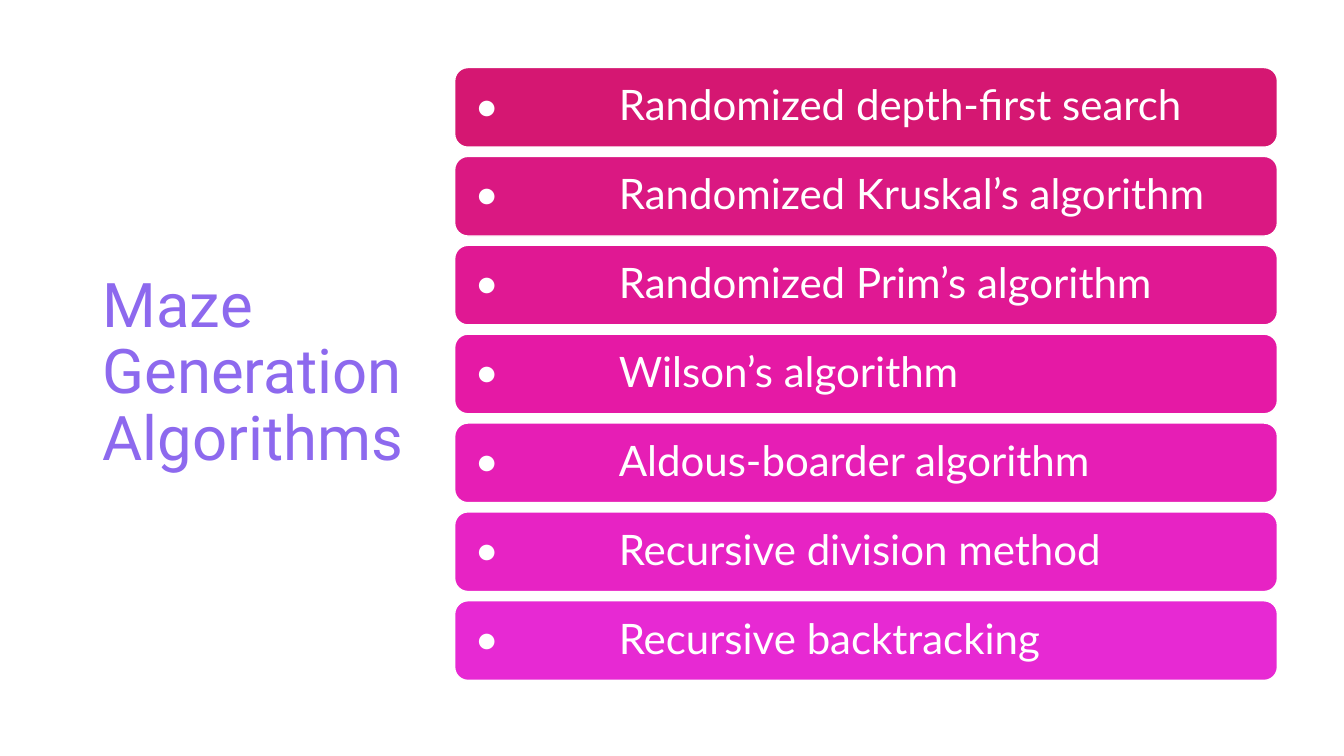
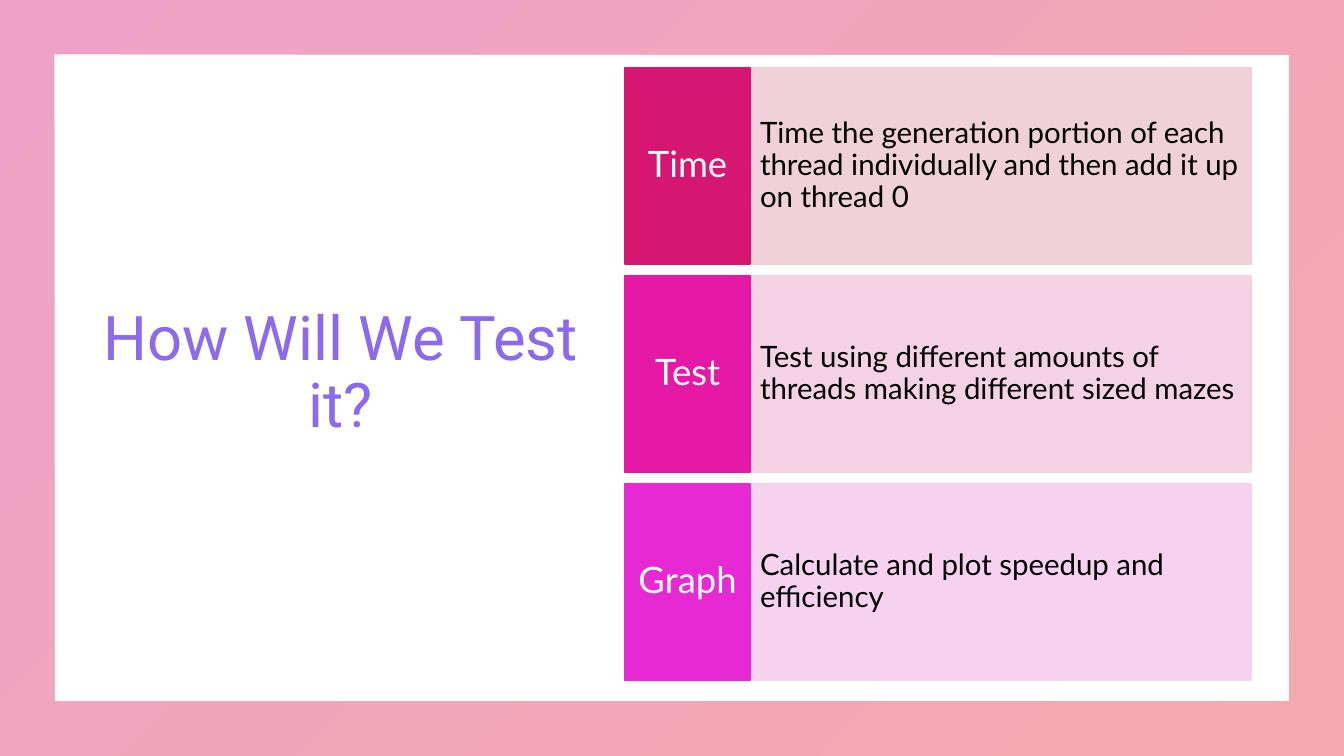
from dataclasses import dataclass

from lxml.etree import SubElement
from pptx import Presentation
from pptx.dml.color import RGBColor
from pptx.enum.shapes import MSO_SHAPE
from pptx.enum.text import MSO_ANCHOR, PP_ALIGN
from pptx.oxml.ns import qn
from pptx.util import Inches, Pt


@dataclass(frozen=True)
class Theme:
    title_color: str = "8D69EE"
    light: str = "FFFFFF"
    dark: str = "000000"
    ramp: tuple = ("D51772", "DA1882", "E01893", "E519A5",
                   "E61EB5", "E723C4", "E729D3")
    tints: tuple = ("F1D1D9", "F4D2E4", "F7D2F0")
    frame_colors: tuple = ("EEA2C7", "F5A9AE")
    title_font: str = "Roboto"
    body_font: str = "Lato"
    title_size: int = 44
    bar_size: int = 30
    label_size: int = 26
    detail_size: int = 21


THEME = Theme()
WIDTH, HEIGHT = 13.33, 7.5
TOP, CONTENT_HEIGHT = 0.67, 6.08


def row_tops(count, row_height):
    """Spread rows evenly over the content height."""
    pitch = (CONTENT_HEIGHT - row_height) / (count - 1)
    return [TOP + i * pitch for i in range(count)]


class Deck:
    def __init__(self, theme):
        self.theme = theme
        self.prs = Presentation()
        self.prs.slide_width = Inches(WIDTH)
        self.prs.slide_height = Inches(HEIGHT)
        self.slide = None

    def new_slide(self):
        self.slide = self.prs.slides.add_slide(self.prs.slide_layouts[6])

    def set_text(self, shape, text, font, size, color,
                 align=PP_ALIGN.LEFT, inset=0.1):
        frame = shape.text_frame
        frame.word_wrap = True
        frame.vertical_anchor = MSO_ANCHOR.MIDDLE
        frame.margin_left = frame.margin_right = Inches(inset)
        frame.text = text
        paragraph = frame.paragraphs[0]
        paragraph.alignment = align
        paragraph.line_spacing = 0.9
        run_font = paragraph.runs[0].font
        run_font.name = font
        run_font.size = Pt(size)
        run_font.color.rgb = RGBColor.from_string(color)
        return paragraph

    def title(self, text, width, align=PP_ALIGN.LEFT):
        box = self.slide.shapes.add_textbox(
            Inches(0.92), Inches(TOP), Inches(width), Inches(CONTENT_HEIGHT))
        self.set_text(box, text, self.theme.title_font, self.theme.title_size,
                      self.theme.title_color, align)

    def block(self, preset, left, top, width, height, fill, line):
        shape = self.slide.shapes.add_shape(
            preset, Inches(left), Inches(top), Inches(width), Inches(height))
        shape.shadow.inherit = False
        shape.fill.solid()
        shape.fill.fore_color.rgb = RGBColor.from_string(fill)
        shape.line.color.rgb = RGBColor.from_string(line)
        shape.line.width = Pt(1)
        return shape

    def frame(self):
        border = self.slide.shapes.add_shape(
            MSO_SHAPE.FRAME, 0, 0, Inches(WIDTH), Inches(HEIGHT))
        border.adjustments[0] = 0.072
        border.shadow.inherit = False
        border.line.fill.background()
        border.fill.gradient()
        border.fill.gradient_angle = 315
        for stop, color in zip(border.fill.gradient_stops,
                               self.theme.frame_colors):
            stop.color.rgb = RGBColor.from_string(color)

    def bullet_bar(self, text, top, height, color):
        bar = self.block(MSO_SHAPE.ROUNDED_RECTANGLE, 4.51, top, 8.16, height,
                         color, self.theme.light)
        paragraph = self.set_text(bar, text, self.theme.body_font,
                                  self.theme.bar_size, self.theme.light,
                                  inset=0.16)
        # Hanging bullet
        properties = paragraph._p.get_or_add_pPr()
        hang = Inches(1.43)
        properties.set("marL", str(hang))
        properties.set("indent", str(-hang))
        SubElement(properties, qn("a:buFont"), typeface=self.theme.body_font)
        SubElement(properties, qn("a:buChar"), char="•")

    def labelled_row(self, label, detail, top, height, color, tint):
        panel = self.block(MSO_SHAPE.RECTANGLE, 7.44, top, 4.97, height,
                           tint, tint)
        self.set_text(panel, detail, self.theme.body_font,
                      self.theme.detail_size, self.theme.dark)
        tab = self.block(MSO_SHAPE.RECTANGLE, 6.2, top, 1.24, height,
                         color, color)
        self.set_text(tab, label, self.theme.body_font, self.theme.label_size,
                      self.theme.light, PP_ALIGN.CENTER, 0.07)


def algorithms_slide(deck):
    algorithms = [
        "Randomized depth-first search",
        "Randomized Kruskal’s algorithm",
        "Randomized Prim’s algorithm",
        "Wilson’s algorithm",
        "Aldous-boarder algorithm",
        "Recursive division method",
        "Recursive backtracking",
    ]
    bar_height = 0.79
    deck.new_slide()
    deck.title("Maze Generation Algorithms", 3.23)
    tops = row_tops(len(algorithms), bar_height)
    for name, top, color in zip(algorithms, tops, deck.theme.ramp):
        deck.bullet_bar(name, top, bar_height, color)


def testing_slide(deck):
    steps = [
        ("Time", "Time the generation portion of each thread individually "
                 "and then add it up on thread 0"),
        ("Test", "Test using different amounts of threads making different "
                 "sized mazes"),
        ("Graph", "Calculate and plot speedup and efficiency"),
    ]
    row_height = 1.95
    deck.new_slide()
    deck.frame()
    deck.title("How Will We Test it?", 4.92, PP_ALIGN.CENTER)
    tops = row_tops(len(steps), row_height)
    # Every third ramp colour: first, middle and last
    for (label, detail), top, color, tint in zip(
            steps, tops, deck.theme.ramp[::3], deck.theme.tints):
        deck.labelled_row(label, detail, top, row_height, color, tint)


def main():
    deck = Deck(THEME)
    algorithms_slide(deck)
    testing_slide(deck)
    deck.prs.save("out.pptx")


if __name__ == "__main__":
    main()
